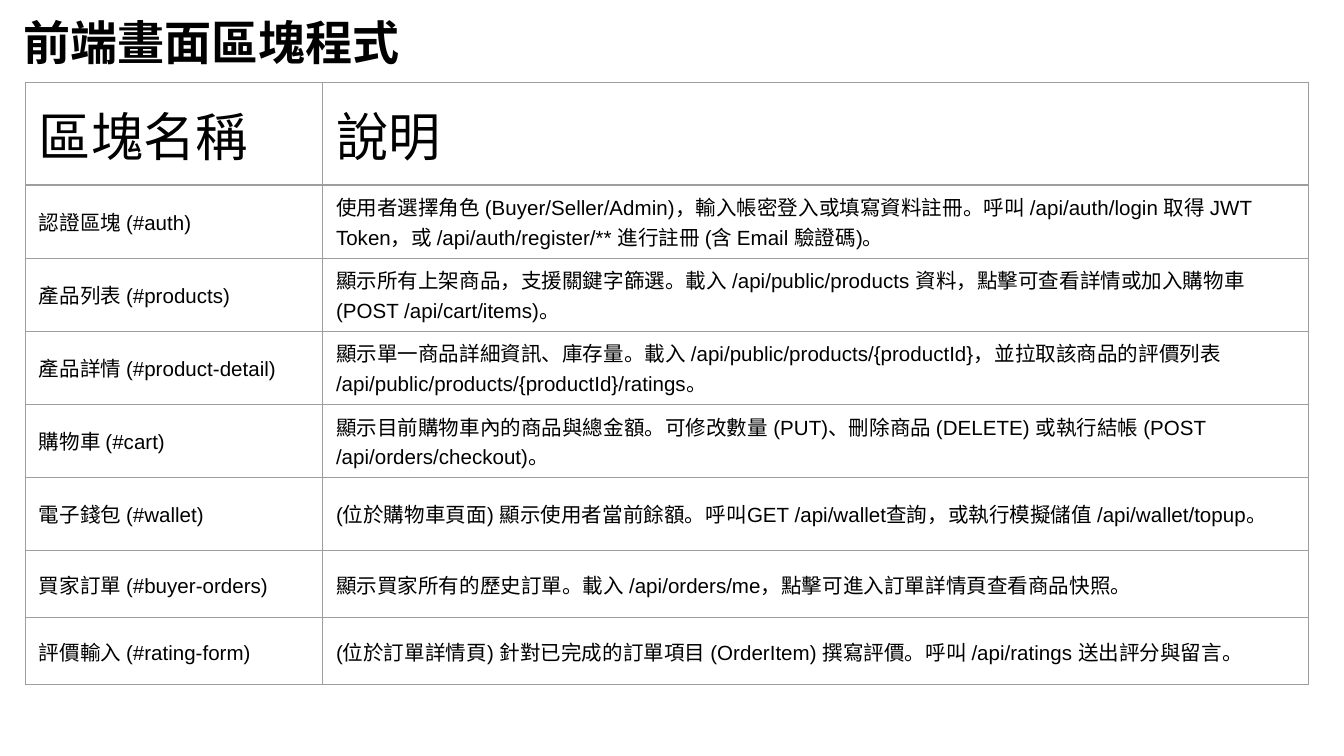
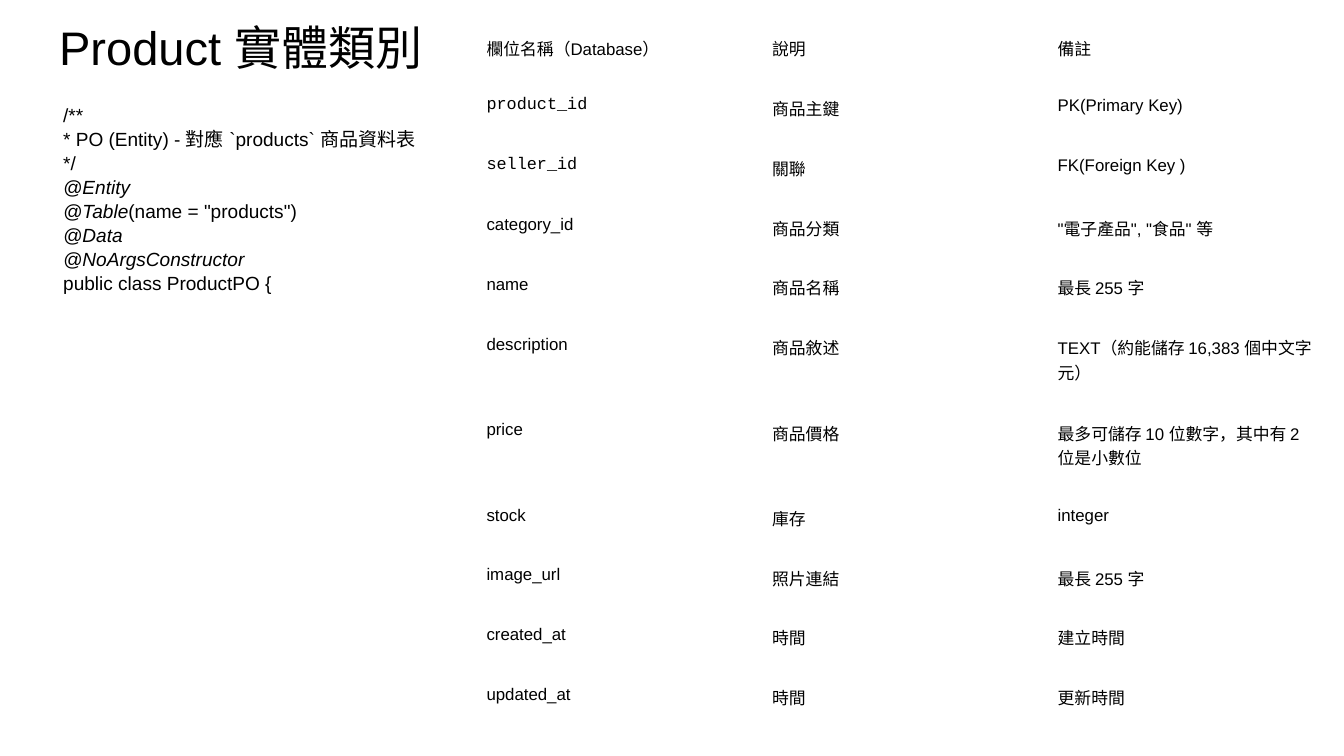
from dataclasses import dataclass

from lxml import etree
from pptx import Presentation
from pptx.dml.color import RGBColor
from pptx.enum.text import MSO_ANCHOR, MSO_AUTO_SIZE, PP_ALIGN
from pptx.oxml.ns import qn
from pptx.util import Pt

TOP, MIDDLE = MSO_ANCHOR.TOP, MSO_ANCHOR.MIDDLE
LEFT = PP_ALIGN.LEFT
NO_AUTOFIT = MSO_AUTO_SIZE.NONE
TITLE_ONLY, TITLE_AND_BODY = 5, 1
PX = 4572  # 200 px to the inch
INSET = 20


@dataclass(frozen=True)
class Theme:
    ink: str = "000000"
    paper: str = "FFFFFF"
    grid: str = "9E9E9E"
    sans: str = "Arial"
    mono: str = "Courier New"
    title: float = 25.2
    header: float = 28
    block: float = 11
    code: float = 10.2
    field: float = 9
    grid_width: float = 0.75


THEME = Theme()

BLOCKS = [
    ("區塊名稱", "說明"),
    ("認證區塊 (#auth)",
     "使用者選擇角色 (Buyer/Seller/Admin)，輸入帳密登入或填寫資料註冊。呼叫 /api/auth/login 取得 JWT Token，"
     "或 /api/auth/register/** 進行註冊 (含 Email 驗證碼)。"),
    ("產品列表 (#products)",
     "顯示所有上架商品，支援關鍵字篩選。載入 /api/public/products 資料，點擊可查看詳情或加入購物車 "
     "(POST /api/cart/items)。"),
    ("產品詳情 (#product-detail)",
     "顯示單一商品詳細資訊、庫存量。載入 /api/public/products/{productId}，並拉取該商品的評價列表 "
     "/api/public/products/{productId}/ratings。"),
    ("購物車 (#cart)",
     "顯示目前購物車內的商品與總金額。可修改數量 (PUT)、刪除商品 (DELETE) 或執行結帳 "
     "(POST /api/orders/checkout)。"),
    ("電子錢包 (#wallet)",
     "(位於購物車頁面) 顯示使用者當前餘額。呼叫GET /api/wallet查詢，或執行模擬儲值 /api/wallet/topup。"),
    ("買家訂單 (#buyer-orders)",
     "顯示買家所有的歷史訂單。載入 /api/orders/me，點擊可進入訂單詳情頁查看商品快照。"),
    ("評價輸入 (#rating-form)",
     "(位於訂單詳情頁) 針對已完成的訂單項目 (OrderItem) 撰寫評價。呼叫 /api/ratings 送出評分與留言。"),
]

# Each code line is a list of (text, italic) pieces
ENTITY_CODE = [
    [("/**", False)],
    [("* PO (Entity) - 對應 `products` 商品資料表", False)],
    [("*/", False)],
    [("@Entity", True)],
    [("@Table", True), ('(name = "products")', False)],
    [("@Data", True)],
    [("@NoArgsConstructor", True)],
    [("public class ProductPO {", False)],
]

FIELDS = [
    ("欄位名稱（Database）", "說明", "備註"),
    ("product_id", "商品主鍵", "PK(Primary Key)"),
    ("seller_id", "關聯", "FK(Foreign Key )"),
    ("category_id", "商品分類", '"電子產品", "食品" 等'),
    ("name", "商品名稱", "最長 255 字"),
    ("description", "商品敘述", "TEXT（約能儲存 16,383 個中文字元）"),
    ("price", "商品價格", "最多可儲存 10 位數字，其中有 2 位是小數位"),
    ("stock", "庫存", "integer"),
    ("image_url", "照片連結", "最長 255 字"),
    ("created_at", "時間", "建立時間"),
    ("updated_at", "時間", "更新時間"),
]
KEY_FIELDS = ("product_id", "seller_id")
LONG_FIELDS = ("description", "price")


def write(frame, lines, *, size, font=THEME.sans, east_asian=None, bold=False,
          highlight=False, indent=None, spacing=None):
    """Fill a text frame; a line is a string or a list of (text, italic)."""
    for number, line in enumerate(lines):
        paragraph = frame.paragraphs[0] if number == 0 else frame.add_paragraph()
        paragraph.alignment = LEFT
        if indent is not None:
            properties = paragraph._p.get_or_add_pPr()
            properties.set("marL", str(indent * PX))
            properties.set("indent", "0")
            etree.SubElement(properties, qn("a:buNone"))
            paragraph.space_before = Pt(0)
        if spacing:
            paragraph.line_spacing = spacing
        pieces = [(line, False)] if isinstance(line, str) else line
        for text, italic in pieces:
            run = paragraph.add_run()
            run.text = text
            run.font.size, run.font.name = Pt(size), font
            run.font.bold, run.font.italic = bold, italic
            run.font.color.rgb = RGBColor.from_string(THEME.ink)
            latin = run._r.rPr.find(qn("a:latin"))
            if east_asian:
                latin.addnext(etree.Element(qn("a:ea"), typeface=east_asian))
            if highlight:
                marker = etree.Element(qn("a:highlight"))
                etree.SubElement(marker, qn("a:srgbClr"), val=THEME.paper)
                latin.addprevious(marker)


def place(placeholder, box):
    """Move a placeholder to its box and return its text frame."""
    left, top, width, height = (length * PX for length in box)
    placeholder.left, placeholder.top = left, top
    placeholder.width, placeholder.height = width, height
    frame = placeholder.text_frame
    frame.auto_size, frame.word_wrap = NO_AUTOFIT, True
    frame.vertical_anchor = TOP
    frame.margin_left = frame.margin_right = INSET * PX
    frame.margin_top = frame.margin_bottom = INSET * PX
    return frame


def add_title(slide, box, text, bold=False):
    write(place(slide.shapes.title, box), [text], size=THEME.title,
          east_asian=THEME.sans, bold=bold)


def set_borders(cell, color):
    properties = cell._tc.get_or_add_tcPr()
    for side in ("lnL", "lnR", "lnT", "lnB"):
        line = etree.SubElement(properties, qn("a:" + side), w=str(Pt(THEME.grid_width)))
        if color:
            fill = etree.SubElement(line, qn("a:solidFill"))
            etree.SubElement(fill, qn("a:srgbClr"), val=color)
        else:
            etree.SubElement(line, qn("a:noFill"))


def add_grid(slide, origin, widths, heights, rows, cell_format, border=None):
    """Draw a plain table; cell_format gives anchor, vertical inset and text format."""
    left, top = origin
    table = slide.shapes.add_table(
        len(heights), len(widths), left * PX, top * PX,
        sum(widths) * PX, sum(heights) * PX).table
    table.first_row = table.horz_banding = False
    for column, width in zip(table.columns, widths):
        column.width = width * PX
    for row, height in zip(table.rows, heights):
        row.height = height * PX
    for r, texts in enumerate(rows):
        for c, text in enumerate(texts):
            cell = table.cell(r, c)
            anchor, inset, text_format = cell_format(r, c)
            set_borders(cell, border)
            cell.fill.background()
            cell.vertical_anchor = anchor
            cell.margin_left = cell.margin_right = INSET * PX
            cell.margin_top = cell.margin_bottom = inset * PX
            write(cell.text_frame, [text], **text_format)


def block_format(row, column):
    if row == 0:
        return TOP, INSET, {"size": THEME.header}
    return MIDDLE, INSET // 2, {"size": THEME.block}


def field_format(row, column):
    is_key = column == 0 and FIELDS[row][0] in KEY_FIELDS
    return TOP, INSET, {
        "size": THEME.field,
        "font": THEME.mono if is_key else THEME.sans,
        "highlight": is_key or row > len(KEY_FIELDS),
    }


def build_blocks_slide(deck):
    slide = deck.slides.add_slide(deck.slide_layouts[TITLE_ONLY])
    add_title(slide, (15, 0, 614, 106), "前端畫面區塊程式", bold=True)
    heights = [90] + [108] * 5 + [100] * 2
    add_grid(slide, (38, 123), [442, 1467], heights, BLOCKS, block_format, THEME.grid)


def build_entity_slide(deck):
    slide = deck.slides.add_slide(deck.slide_layouts[TITLE_AND_BODY])
    add_title(slide, (68, 7, 604, 126), "Product 實體類別")
    # Entity class code
    code = place(slide.placeholders[1], (68, 132, 636, 340))
    write(code, ENTITY_CODE, size=THEME.code, east_asian=THEME.sans,
          highlight=True, indent=6, spacing=1.05)
    # Database fields
    heights = [127 if name in LONG_FIELDS else 89 for name, *_ in FIELDS]
    add_grid(slide, (704, 34), [425] * 3, heights, FIELDS, field_format)


def main():
    deck = Presentation()
    deck.slide_width, deck.slide_height = 2000 * PX, 1125 * PX
    build_blocks_slide(deck)
    build_entity_slide(deck)
    deck.save("out.pptx")


if __name__ == "__main__":
    main()
